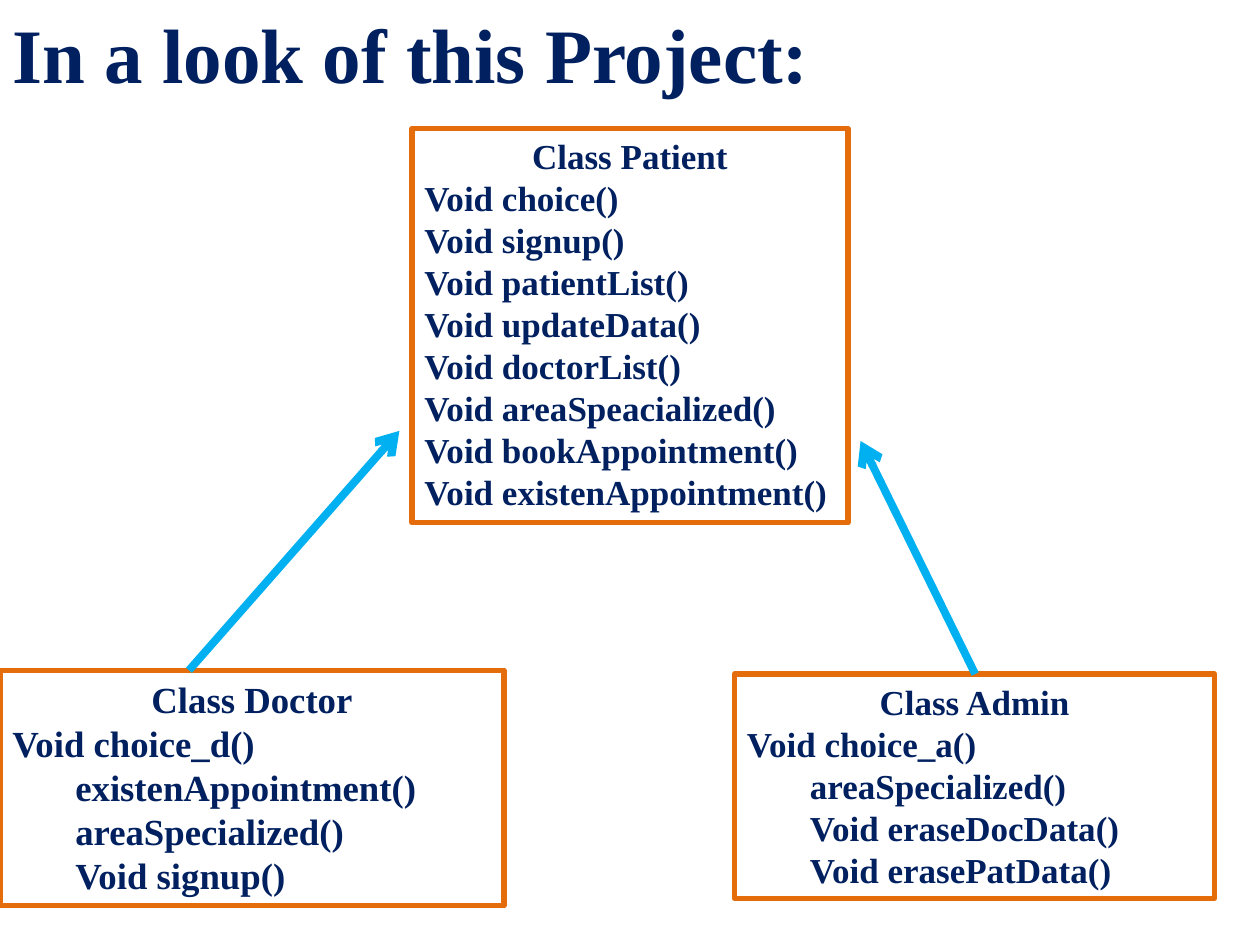
from dataclasses import dataclass

from pptx import Presentation
from pptx.dml.color import RGBColor
from pptx.enum.shapes import MSO_CONNECTOR, MSO_SHAPE
from pptx.enum.text import MSO_ANCHOR, MSO_AUTO_SIZE, PP_ALIGN
from pptx.oxml.ns import qn
from pptx.util import Inches, Pt
from lxml.etree import SubElement


@dataclass(frozen=True)
class Theme:
    """Colours, font and sizes of the slide."""
    font: str = "Times New Roman"
    ink: RGBColor = RGBColor(0x00, 0x20, 0x60)
    edge: RGBColor = RGBColor(0xE4, 0x6C, 0x0A)
    arrow: RGBColor = RGBColor(0x00, 0xB0, 0xF0)
    title: int = 44
    body: int = 20
    large: int = 21
    edge_wide: float = 3
    arrow_wide: float = 4.5


THEME = Theme()


def style(frame, size):
    """Give every run in a text frame the slide's font."""
    for para in frame.paragraphs:
        for run in para.runs:
            font = run.font
            font.name, font.size, font.bold = THEME.font, Pt(size), True
            font.color.rgb = THEME.ink


def add_title(slide, box, text):
    """Place the slide title at the top left of its box."""
    title = slide.shapes.title
    title.left, title.top, title.width, title.height = map(Inches, box)
    frame = title.text_frame
    frame.text = text
    frame.word_wrap = True
    frame.auto_size = MSO_AUTO_SIZE.NONE
    frame.vertical_anchor = MSO_ANCHOR.TOP
    frame.paragraphs[0].alignment = PP_ALIGN.LEFT
    style(frame, THEME.title)


def add_class(slide, box, name, methods, size=THEME.body):
    """Draw a class box: centred name above its methods."""
    shape = slide.shapes.add_shape(MSO_SHAPE.RECTANGLE, *map(Inches, box))
    shape.shadow.inherit = False
    shape.fill.background()
    shape.line.color.rgb = THEME.edge
    shape.line.width = Pt(THEME.edge_wide)
    frame = shape.text_frame
    frame.text = "\n".join([name, *methods])
    frame.word_wrap = True
    frame.auto_size = MSO_AUTO_SIZE.SHAPE_TO_FIT_TEXT
    frame.vertical_anchor = MSO_ANCHOR.TOP
    for para in frame.paragraphs:
        para.alignment = PP_ALIGN.LEFT
    frame.paragraphs[0].alignment = PP_ALIGN.CENTER
    style(frame, size)


def add_arrow(slide, start, end):
    """Draw an arrow from start to end."""
    line = slide.shapes.add_connector(
        MSO_CONNECTOR.STRAIGHT, *map(Inches, (*start, *end)))
    line.line.color.rgb = THEME.arrow
    line.line.width = Pt(THEME.arrow_wide)
    SubElement(line.line._get_or_add_ln(), qn("a:tailEnd"), type="arrow")
    SubElement(line._element.spPr, qn("a:effectLst"))


def build():
    """Build the class overview slide and save it."""
    deck = Presentation()
    deck.slide_width, deck.slide_height = Inches(10), Inches(7.5)
    slide = deck.slides.add_slide(deck.slide_layouts[5])
    add_title(slide, (0, 0, 10, 1.58), "In a look of this Project:")
    add_class(slide, (0, 5.32, 4, 1.87), "Class Doctor", [
        "Void choice_d()", "\texistenAppointment()",
        "\tareaSpecialized()", "\tVoid signup()"], THEME.large)
    add_class(slide, (5.83, 5.35, 3.81, 1.78), "Class Admin", [
        "Void choice_a()", "\tareaSpecialized()",
        "\tVoid eraseDocData()", "\tVoid erasePatData()"])
    tasks = ("choice", "signup", "patientList", "updateData", "doctorList",
             "areaSpeacialized", "bookAppointment", "existenAppointment")
    add_class(slide, (3.27, 1.02, 3.46, 3.13), "Class Patient",
              [f"Void {task}()" for task in tasks])
    add_arrow(slide, (1.5, 5.32), (3.17, 3.42))
    add_arrow(slide, (7.74, 5.35), (6.83, 3.5))
    deck.save("out.pptx")


build()
